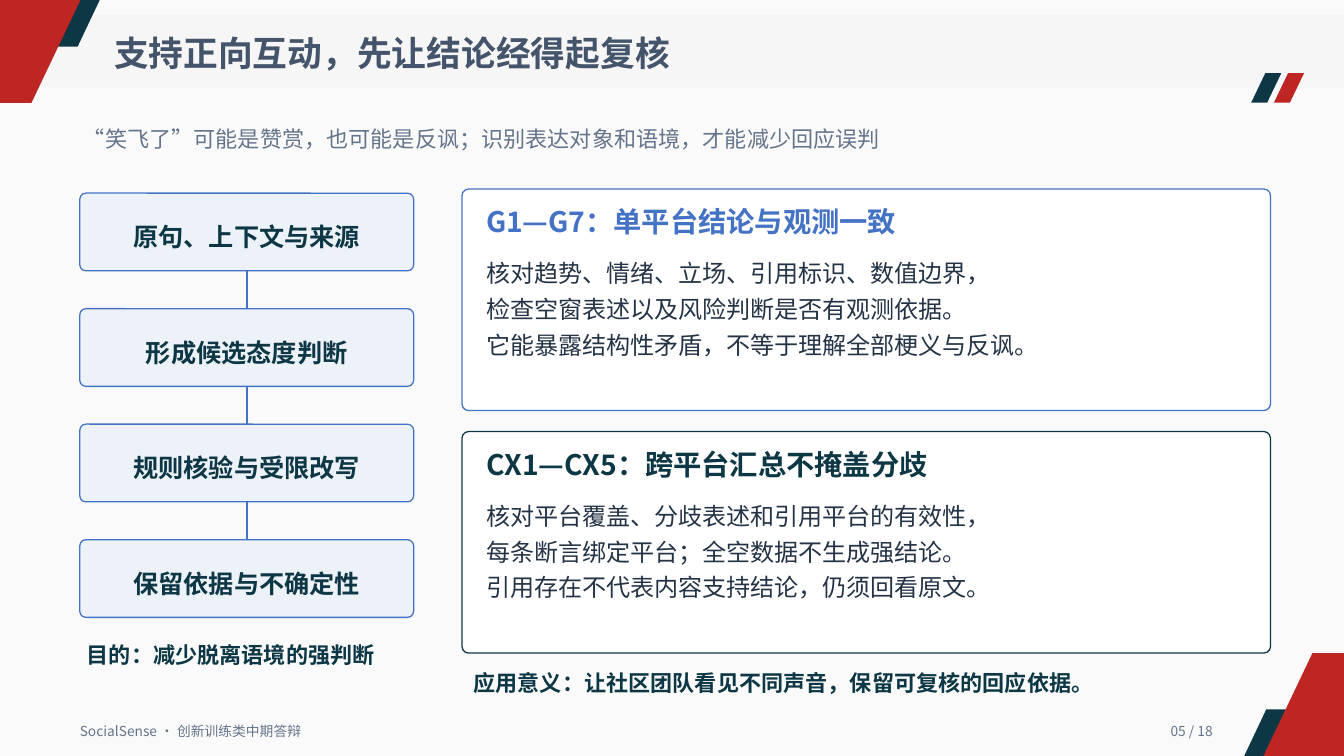
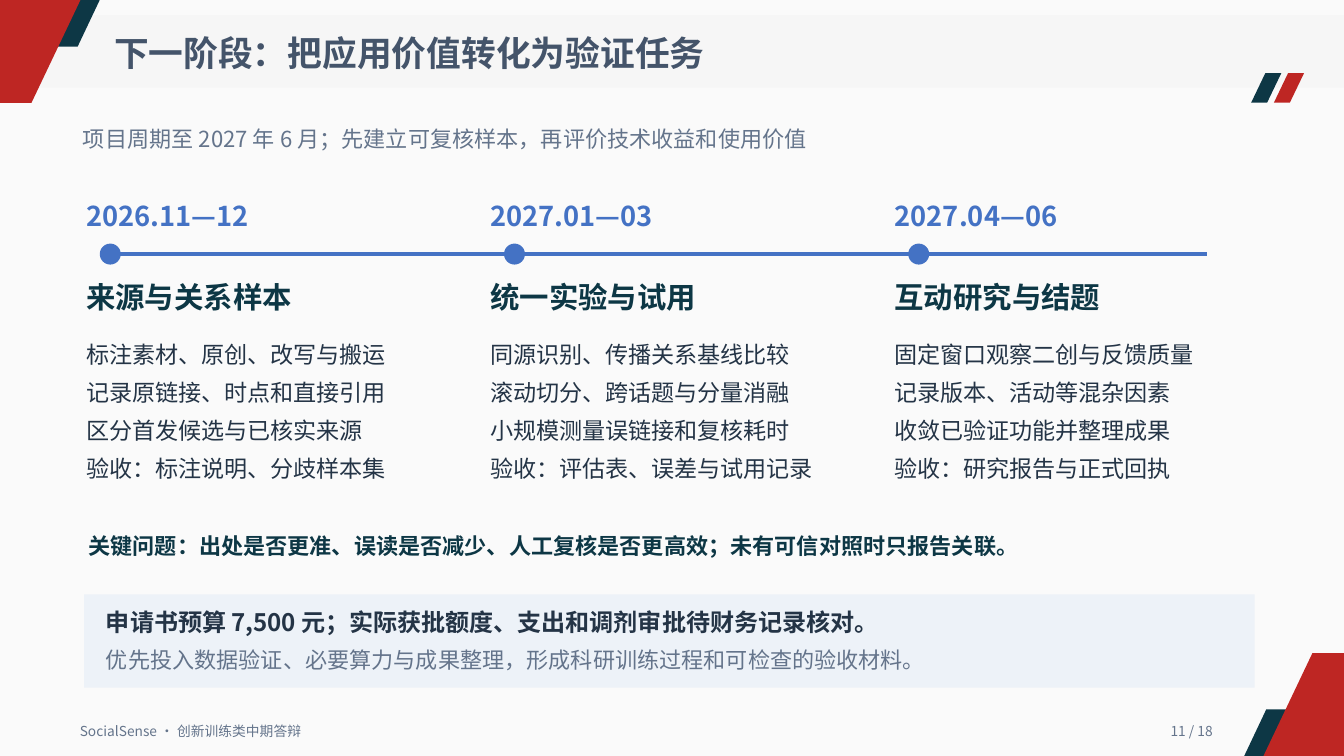
from dataclasses import dataclass
from typing import Any

import lxml.etree
import pptx
import pptx.dml.color
import pptx.enum.shapes
import pptx.enum.text
import pptx.oxml.ns
import pptx.presentation
import pptx.shapes.autoshape
import pptx.shapes.connector
import pptx.slide
import pptx.text.text
import pptx.util

Pt = pptx.util.Pt
RGBColor = pptx.dml.color.RGBColor
MSO_SHAPE = pptx.enum.shapes.MSO_SHAPE
PP_ALIGN = pptx.enum.text.PP_ALIGN
MSO_ANCHOR = pptx.enum.text.MSO_ANCHOR

NAVY = RGBColor(0x0D, 0x37, 0x45)
RED = RGBColor(0xBE, 0x26, 0x23)
BLUE = RGBColor(0x44, 0x72, 0xC4)
PALE_BLUE = RGBColor(0xED, 0xF2, 0xF8)
WHITE = RGBColor(0xFF, 0xFF, 0xFF)
PAGE = RGBColor(0xFA, 0xFA, 0xFA)
BAND = RGBColor(0xF6, 0xF6, 0xF6)
TITLE = RGBColor(0x44, 0x54, 0x6A)
GRAY = RGBColor(0x64, 0x74, 0x8B)
INK = RGBColor(0x24, 0x34, 0x46)

FONT_NAME = "Noto Sans CJK SC"
PAGE_WIDTH = 960
PAGE_HEIGHT = 540
PAGE_COUNT = 18
FOOTER = "SocialSense · 创新训练类中期答辩"


@dataclass(frozen=True)
class TextStyle:
    size: float
    color: RGBColor
    bold: bool = False
    line_spacing: float | None = None


@dataclass(frozen=True)
class Panel:
    heading: str
    body: str
    color: RGBColor


@dataclass(frozen=True)
class Stage:
    period: str
    heading: str
    tasks: str


TITLE_STYLE = TextStyle(24.8, TITLE, True)
SUBTITLE_STYLE = TextStyle(15.8, GRAY)
FOOTER_STYLE = TextStyle(9.8, GRAY)
STEP_STYLE = TextStyle(18, NAVY, True)
TAKEAWAY_STYLE = TextStyle(15.8, NAVY, True)
PANEL_BODY_STYLE = TextStyle(17.2, INK, line_spacing=25.5)
PERIOD_STYLE = TextStyle(19.5, BLUE, True)
STAGE_STYLE = TextStyle(21, NAVY, True)
TASK_STYLE = TextStyle(16.5, INK, line_spacing=27.2)
BUDGET_STYLE = TextStyle(17.2, INK, True)

CORNER_SHAPES = [
    (NAVY, [(0, 0), (71.25, 0), (55.5, 33.25), (0, 33.25)]),
    (RED, [(0, 0), (57.5, 0), (22.5, 73.5), (0, 73.5)]),
]

STEPS = ["原句、上下文与来源", "形成候选态度判断", "规则核验与受限改写", "保留依据与不确定性"]

PANELS = [
    Panel(
        "G1—G7：单平台结论与观测一致",
        "核对趋势、情绪、立场、引用标识、数值边界，\n"
        "检查空窗表述以及风险判断是否有观测依据。\n"
        "它能暴露结构性矛盾，不等于理解全部梗义与反讽。",
        BLUE,
    ),
    Panel(
        "CX1—CX5：跨平台汇总不掩盖分歧",
        "核对平台覆盖、分歧表述和引用平台的有效性，\n"
        "每条断言绑定平台；全空数据不生成强结论。\n"
        "引用存在不代表内容支持结论，仍须回看原文。",
        NAVY,
    ),
]

STAGES = [
    Stage(
        "2026.11—12",
        "来源与关系样本",
        "标注素材、原创、改写与搬运\n记录原链接、时点和直接引用\n"
        "区分首发候选与已核实来源\n验收：标注说明、分歧样本集",
    ),
    Stage(
        "2027.01—03",
        "统一实验与试用",
        "同源识别、传播关系基线比较\n滚动切分、跨话题与分量消融\n"
        "小规模测量误链接和复核耗时\n验收：评估表、误差与试用记录",
    ),
    Stage(
        "2027.04—06",
        "互动研究与结题",
        "固定窗口观察二创与反馈质量\n记录版本、活动等混杂因素\n"
        "收敛已验证功能并整理成果\n验收：研究报告与正式回执",
    ),
]


def set_attributes(target: Any, values: dict[str, Any]) -> None:
    for name, value in values.items():
        setattr(target, name, value)


def write_text(
    frame: pptx.text.text.TextFrame,
    text: str,
    style: TextStyle,
    alignment: PP_ALIGN = PP_ALIGN.LEFT,
    **frame_values: Any,
) -> None:
    margins = {f"margin_{side}": 0 for side in ("left", "top", "right", "bottom")}
    set_attributes(frame, {"word_wrap": True, **margins, **frame_values})
    paragraph = frame.paragraphs[0]
    paragraph.text = text
    paragraph.alignment = alignment
    if style.line_spacing:
        paragraph.line_spacing = Pt(style.line_spacing)
    for run in paragraph.runs:
        set_attributes(run.font, {"name": FONT_NAME, "size": Pt(style.size), "bold": style.bold})
        run.font.color.rgb = style.color
        east_asian = lxml.etree.SubElement(run.font._element, pptx.oxml.ns.qn("a:ea"))
        east_asian.set("typeface", FONT_NAME)


def add_text(
    slide: pptx.slide.Slide,
    left: float,
    top: float,
    width: float,
    height: float,
    text: str,
    style: TextStyle,
    alignment: PP_ALIGN = PP_ALIGN.LEFT,
) -> None:
    box = slide.shapes.add_textbox(Pt(left), Pt(top), Pt(width), Pt(height))
    write_text(box.text_frame, text, style, alignment)


def format_shape(
    shape: pptx.shapes.autoshape.Shape, fill: RGBColor, line: RGBColor | None = None
) -> None:
    shape.shadow.inherit = False
    shape.fill.solid()
    shape.fill.fore_color.rgb = fill
    if line is None:
        shape.line.fill.background()
    else:
        shape.line.color.rgb = line
        shape.line.width = Pt(0.9)


def add_block(
    slide: pptx.slide.Slide,
    kind: MSO_SHAPE,
    left: float,
    top: float,
    width: float,
    height: float,
    fill: RGBColor,
    line: RGBColor | None = None,
    adjustment: float | None = None,
) -> pptx.shapes.autoshape.Shape:
    shape = slide.shapes.add_shape(kind, Pt(left), Pt(top), Pt(width), Pt(height))
    format_shape(shape, fill, line)
    if adjustment is not None:
        shape.adjustments[0] = adjustment
    return shape


def add_line(
    slide: pptx.slide.Slide, start: tuple[float, float], end: tuple[float, float], width: float
) -> pptx.shapes.connector.Connector:
    connector = slide.shapes.add_connector(
        pptx.enum.shapes.MSO_CONNECTOR.STRAIGHT, *(Pt(value) for value in start + end)
    )
    connector.line.color.rgb = BLUE
    connector.line.width = Pt(width)
    lxml.etree.SubElement(connector._element.spPr, pptx.oxml.ns.qn("a:effectLst"))
    return connector


def add_polygon(
    slide: pptx.slide.Slide, points: list[tuple[float, float]], fill: RGBColor
) -> None:
    vertices = [(Pt(x), Pt(y)) for x, y in points]
    builder = slide.shapes.build_freeform(*vertices[0], scale=1.0)
    builder.add_line_segments(vertices[1:], close=True)
    format_shape(builder.convert_to_shape(), fill)


def add_page(
    presentation: pptx.presentation.Presentation, title: str, subtitle: str, number: int
) -> pptx.slide.Slide:
    slide = presentation.slides.add_slide(presentation.slide_layouts[6])
    slide.background.fill.solid()
    slide.background.fill.fore_color.rgb = PAGE
    add_block(slide, MSO_SHAPE.RECTANGLE, 0, 10.75, PAGE_WIDTH, 52, BAND)
    for left, color in ((893.75, NAVY), (910, RED)):
        add_block(slide, MSO_SHAPE.PARALLELOGRAM, left, 52.25, 21.5, 21, color, adjustment=0.48)
    for color, points in CORNER_SHAPES:
        add_polygon(slide, points, color)
        add_polygon(slide, [(PAGE_WIDTH - x, PAGE_HEIGHT - y) for x, y in points], color)
    add_text(slide, 81.5, 23, 700, 38, title, TITLE_STYLE)
    add_text(slide, 59.25, 89.25, 780, 24.5, subtitle, SUBTITLE_STYLE)
    add_text(slide, 57, 516, 300, 15, FOOTER, FOOTER_STYLE)
    page_label = f"{number:02d} / {PAGE_COUNT}"
    add_text(slide, 766.25, 516, 100, 15, page_label, FOOTER_STYLE, PP_ALIGN.RIGHT)
    return slide


def build_review_slide(presentation: pptx.presentation.Presentation) -> None:
    slide = add_page(
        presentation,
        "支持正向互动，先让结论经得起复核",
        "“笑飞了”可能是赞赏，也可能是反讽；识别表达对象和语境，才能减少回应误判",
        5,
    )
    previous = None
    for index, step in enumerate(STEPS):
        card = add_block(
            slide, MSO_SHAPE.ROUNDED_RECTANGLE, 57, 138 + index * 82.5, 238.5, 55.5,
            PALE_BLUE, BLUE, 0.08,
        )
        write_text(
            card.text_frame, step, STEP_STYLE, PP_ALIGN.CENTER,
            vertical_anchor=MSO_ANCHOR.MIDDLE, margin_top=Pt(6.5),
        )
        if previous is not None:
            connector = add_line(slide, (0, 0), (0, 0), 1.5)
            connector.begin_connect(previous, 2)
            connector.end_connect(card, 0)
        previous = card
    add_text(slide, 62, 458, 240, 24.5, "目的：减少脱离语境的强判断", TAKEAWAY_STYLE)

    for index, panel in enumerate(PANELS):
        top = 135 + index * 173.25
        add_block(
            slide, MSO_SHAPE.ROUNDED_RECTANGLE, 330, top, 577.5, 158.25, WHITE, panel.color, 0.03
        )
        heading_style = TextStyle(20.2, panel.color, True)
        add_text(slide, 347.25, top + 11, 540, 31, panel.heading, heading_style)
        add_text(slide, 347.25, top + 45, 540, 78, panel.body, PANEL_BODY_STYLE)
    meaning = "应用意义：让社区团队看见不同声音，保留可复核的回应依据。"
    add_text(slide, 338.25, 478, 540, 24.5, meaning, TAKEAWAY_STYLE)


def build_roadmap_slide(presentation: pptx.presentation.Presentation) -> None:
    slide = add_page(
        presentation,
        "下一阶段：把应用价值转化为验证任务",
        "项目周期至 2027 年 6 月；先建立可复核样本，再评价技术收益和使用价值",
        11,
    )
    add_line(slide, (75.5, 181.5), (862.5, 181.5), 2.25)
    for index, stage in enumerate(STAGES):
        left = 61.5 + index * 288.75
        add_text(slide, left, 142.5, 260, 30, stage.period, PERIOD_STYLE)
        add_block(slide, MSO_SHAPE.OVAL, left + 9.75, 174, 15, 15, BLUE)
        add_text(slide, left, 199.5, 260, 32, stage.heading, STAGE_STYLE)
        add_text(slide, left + 0.25, 235.5, 260, 108, stage.tasks, TASK_STYLE)
    question = "关键问题：出处是否更准、误读是否减少、人工复核是否更高效；未有可信对照时只报告关联。"
    add_text(slide, 63.25, 380, 800, 24.5, question, TAKEAWAY_STYLE)
    add_block(slide, MSO_SHAPE.RECTANGLE, 60, 424.5, 836.25, 66.75, PALE_BLUE)
    budget = "申请书预算 7,500 元；实际获批额度、支出和调剂审批待财务记录核对。"
    add_text(slide, 75.75, 434, 800, 26.5, budget, BUDGET_STYLE)
    priority = "优先投入数据验证、必要算力与成果整理，形成科研训练过程和可检查的验收材料。"
    add_text(slide, 75.75, 461.5, 800, 24.5, priority, SUBTITLE_STYLE)


def main() -> None:
    presentation = pptx.Presentation()
    set_attributes(
        presentation, {"slide_width": Pt(PAGE_WIDTH), "slide_height": Pt(PAGE_HEIGHT)}
    )
    build_review_slide(presentation)
    build_roadmap_slide(presentation)
    presentation.save("out.pptx")


if __name__ == "__main__":
    main()
